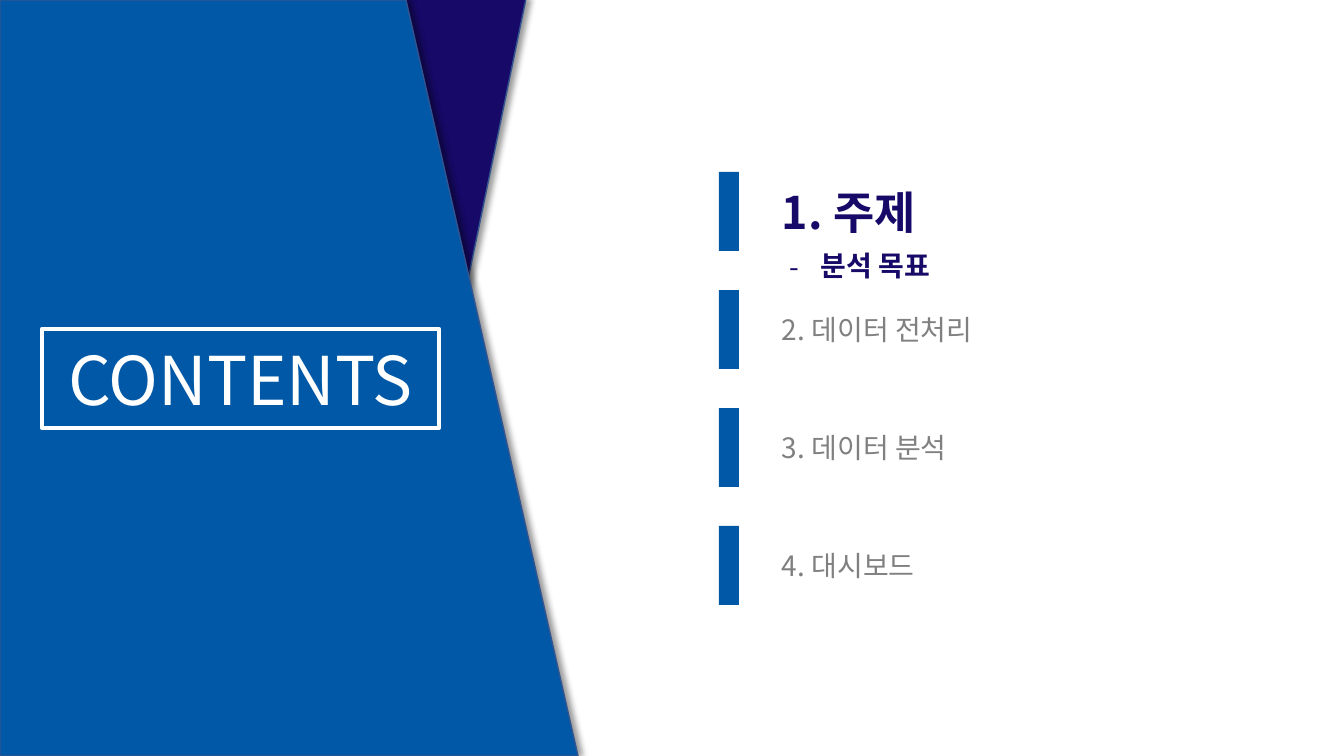
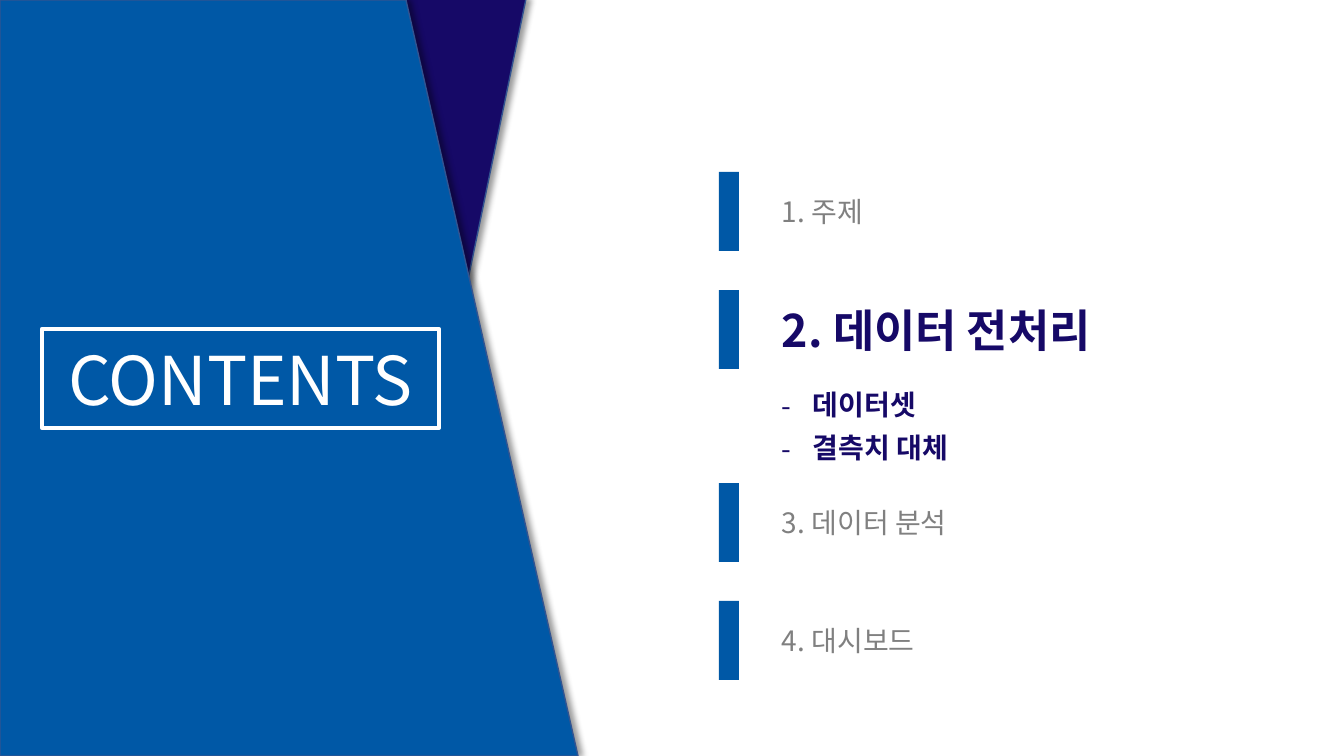
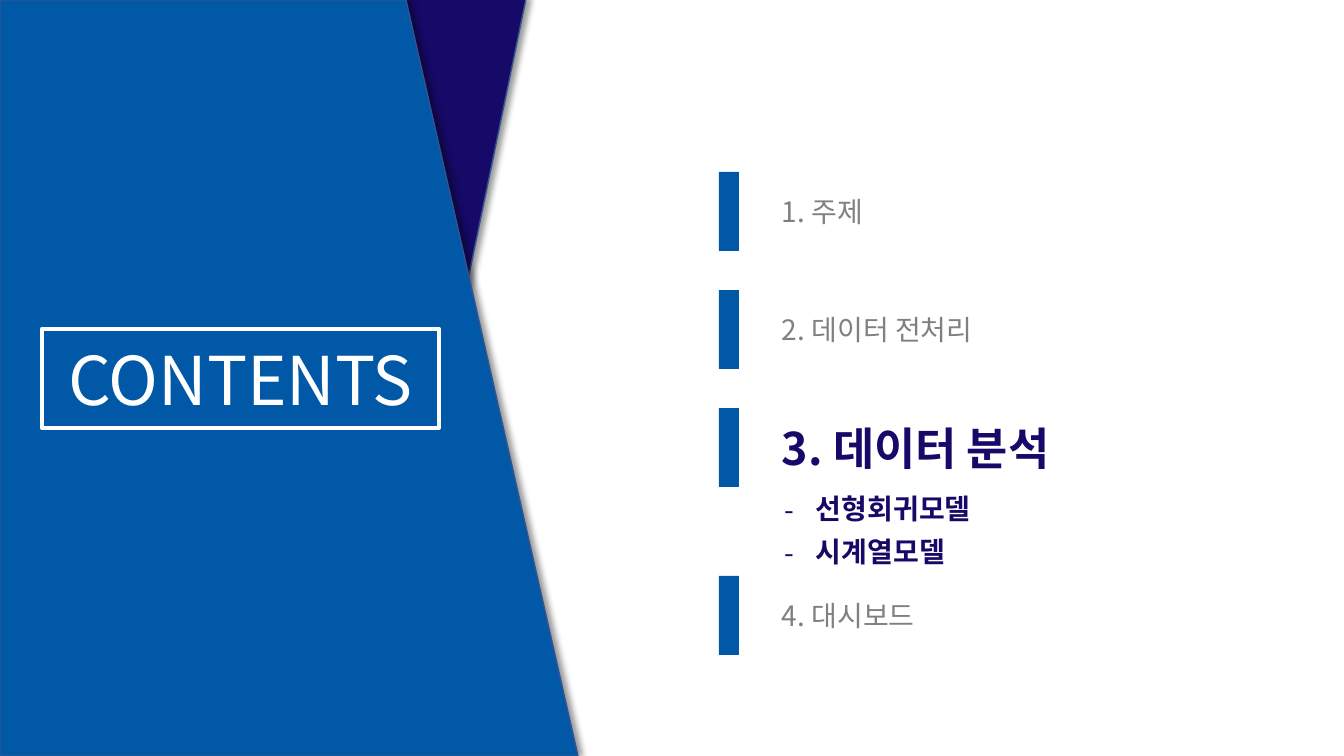
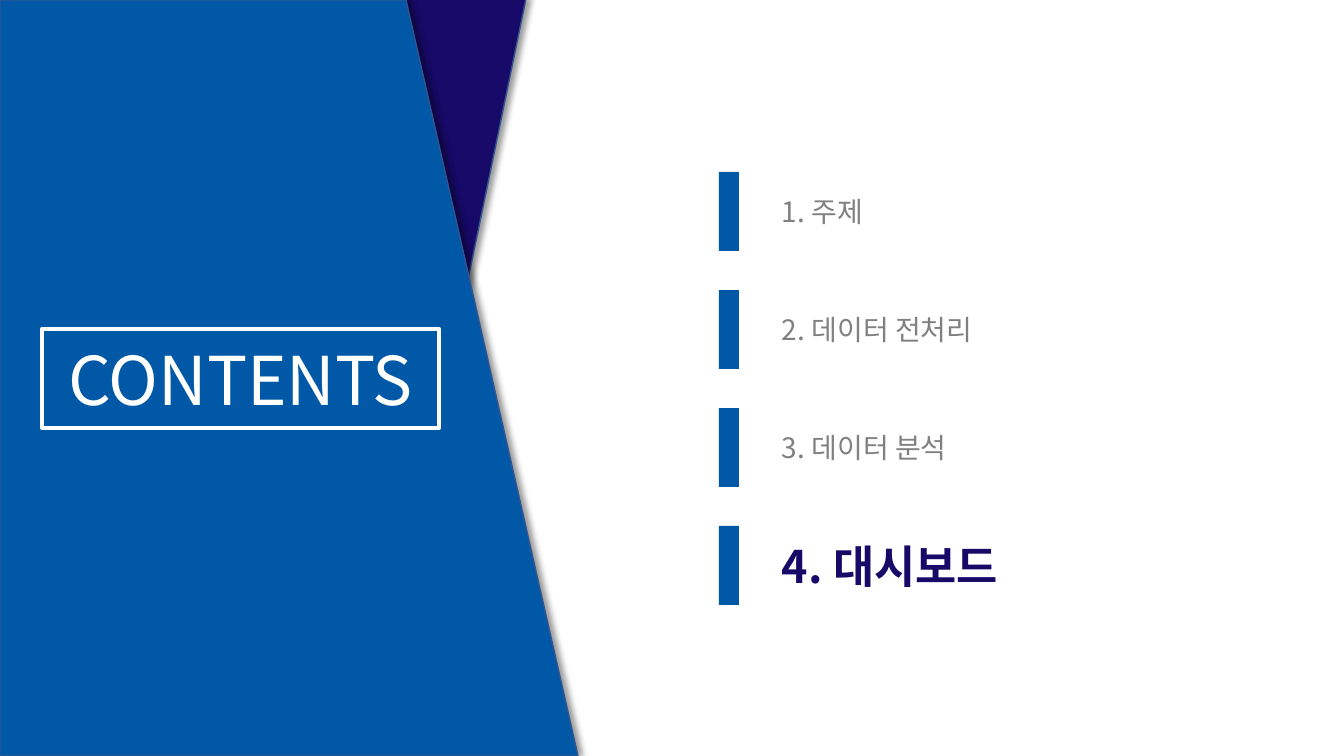
"""Builds four agenda slides, each with one chapter highlighted."""
from lxml.etree import SubElement
from pptx import Presentation
from pptx.dml.color import RGBColor
from pptx.enum.shapes import MSO_SHAPE as Shape
from pptx.enum.text import MSO_ANCHOR as Anchor, MSO_AUTO_SIZE as AutoSize, PP_ALIGN as Align
from pptx.oxml.ns import qn
from pptx.util import Emu, Pt

SLIDE_WIDTH, SLIDE_HEIGHT = 1344, 756
EMU_PER_PX = 12192000 / SLIDE_WIDTH
FONT = "Noto Sans CJK KR"
COLORS = {
    "blue": "0058A6",
    "navy": "160967",
    "outline": "325491",
    "gray": "808080",
    "white": "FFFFFF",
    "black": "000000",
}

NAVY_PANEL = [(0, -1), (526, -1), (370, 755), (0, 755)]
BLUE_PANEL = [(0, 0), (406, 0), (578, 756), (0, 756)]
TITLE_BOX = (42, 329, 397, 99)

BAR_LEFT, BAR_WIDTH, BAR_HEIGHT = 719, 20, 79
FIRST_TOP, PITCH = 172, 118
LABEL_LEFT, LABEL_WIDTH = 772, 423
BULLET_INDENT = 31

CHAPTERS = ["1. 주제", "2. 데이터 전처리", "3. 데이터 분석", "4. 대시보드"]
AGENDAS = [
    {"topics": ["분석 목표"], "box": (780, 244, 423, 44), "spacing": 1.0, "shift": 0},
    {"topics": ["데이터셋", "결측치 대체"], "box": (772, 372, 423, 94), "spacing": 1.3, "shift": 75},
    {"topics": ["선형회귀모델", "시계열모델"], "box": (775, 476, 423, 94), "spacing": 1.3, "shift": 50},
    {"topics": [], "shift": 0},
]


def px(length):
    return Emu(round(length * EMU_PER_PX))


def rgb(name):
    return RGBColor.from_string(COLORS[name])


def paint(shape, fill):
    shape.fill.solid()
    shape.fill.fore_color.rgb = rgb(fill)


def format_text(shape, size, color, bold=False):
    for paragraph in shape.text_frame.paragraphs:
        for run in paragraph.runs:
            run.font.size = Pt(size)
            run.font.bold = bold
            run.font.name = FONT
            run.font.color.rgb = rgb(color)
    for properties in shape.element.iter(qn("a:rPr")):
        SubElement(properties, qn("a:ea"), typeface=FONT)


def add_shadow(shape):
    effects = SubElement(shape.element.spPr, qn("a:effectLst"))
    shadow = SubElement(effects, qn("a:outerShdw"), blurRad=str(Pt(4)), dist=str(Pt(3)),
                        dir="0", algn="l", rotWithShape="0")
    color = SubElement(shadow, qn("a:srgbClr"), val=COLORS["black"])
    SubElement(color, qn("a:alpha"), val="40000")


def add_panel(slide, points, fill):
    start, *others = [(px(x), px(y)) for x, y in points]
    builder = slide.shapes.build_freeform(*start)
    builder.add_line_segments(others, close=True)
    panel = builder.convert_to_shape()
    paint(panel, fill)
    panel.line.color.rgb = rgb("outline")
    panel.line.width = Pt(1)
    add_shadow(panel)


def add_title(slide, text):
    title = slide.shapes.title
    title.left, title.top, title.width, title.height = map(px, TITLE_BOX)
    title.line.color.rgb = rgb("white")
    title.line.width = Pt(3)
    frame = title.text_frame
    frame.text = text
    frame.auto_size = AutoSize.NONE
    frame.vertical_anchor = Anchor.MIDDLE
    frame.paragraphs[0].alignment = Align.CENTER
    format_text(title, 48, "white")
    title.element.getparent().append(title.element)


def add_text(slide, box, text, size, color, bold):
    textbox = slide.shapes.add_textbox(*map(px, box))
    textbox.text_frame.word_wrap = True
    textbox.text_frame.text = text
    format_text(textbox, size, color, bold)
    return textbox


def add_chapter(slide, text, top, active):
    bar = slide.shapes.add_shape(Shape.RECTANGLE, *map(px, (BAR_LEFT, top, BAR_WIDTH, BAR_HEIGHT)))
    bar.shadow.inherit = False
    paint(bar, "blue")
    bar.line.fill.background()
    size, color, height = (32, "navy", 65) if active else (20, "gray", 44)
    box = (LABEL_LEFT, top + (BAR_HEIGHT - height) / 2, LABEL_WIDTH, height)
    label = add_text(slide, box, text, size, color, active)
    label.text_frame.vertical_anchor = Anchor.MIDDLE


def add_topics(slide, topics, box, spacing):
    textbox = add_text(slide, box, "\n".join(topics), 20, "navy", True)
    for paragraph in textbox.text_frame.paragraphs:
        paragraph.line_spacing = spacing
    for properties in textbox.element.iter(qn("a:pPr")):
        properties.set("marL", str(px(BULLET_INDENT)))
        properties.set("indent", str(-px(BULLET_INDENT)))
        SubElement(properties, qn("a:buFont"), typeface=FONT)
        SubElement(properties, qn("a:buChar"), char="-")


def add_agenda(presentation, active, agenda):
    slide = presentation.slides.add_slide(presentation.slide_layouts[5])
    add_panel(slide, NAVY_PANEL, "navy")
    add_panel(slide, BLUE_PANEL, "blue")
    add_title(slide, "CONTENTS")
    for index, text in enumerate(CHAPTERS):
        shift = agenda["shift"] if index > active else 0
        add_chapter(slide, text, FIRST_TOP + index * PITCH + shift, index == active)
    if agenda["topics"]:
        add_topics(slide, agenda["topics"], agenda["box"], agenda["spacing"])


def main():
    presentation = Presentation()
    presentation.slide_width, presentation.slide_height = px(SLIDE_WIDTH), px(SLIDE_HEIGHT)
    for active, agenda in enumerate(AGENDAS):
        add_agenda(presentation, active, agenda)
    presentation.save("out.pptx")


if __name__ == "__main__":
    main()
